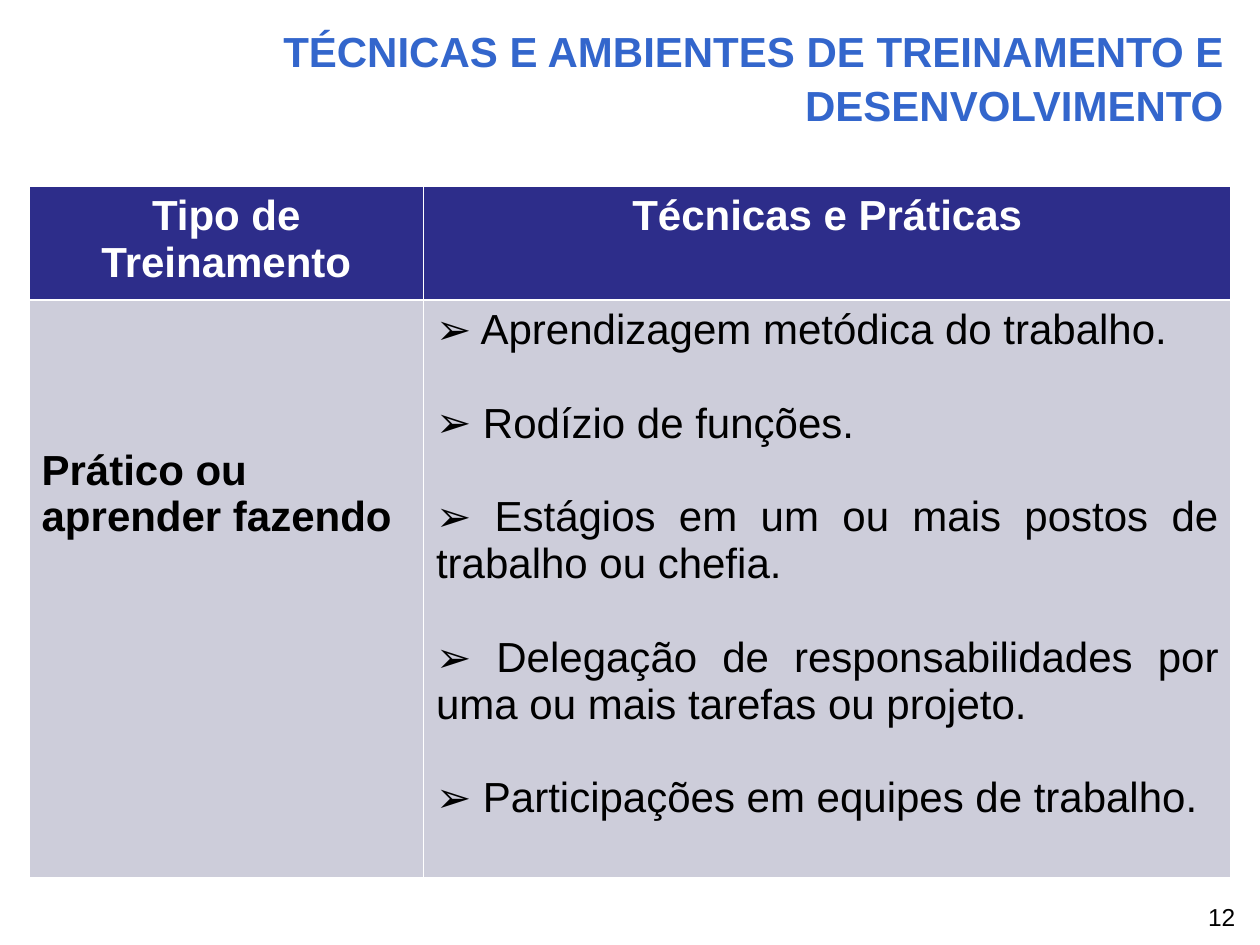
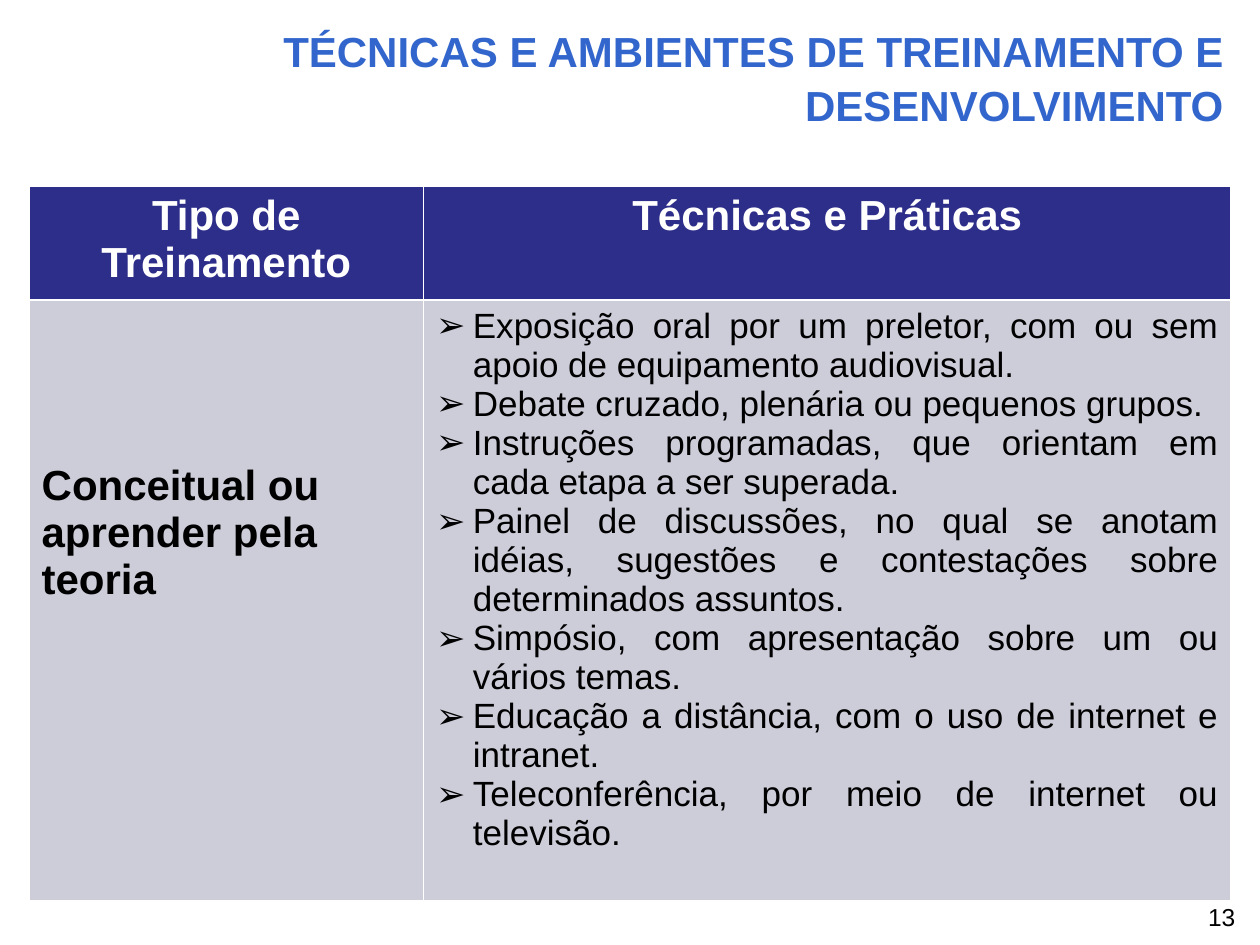
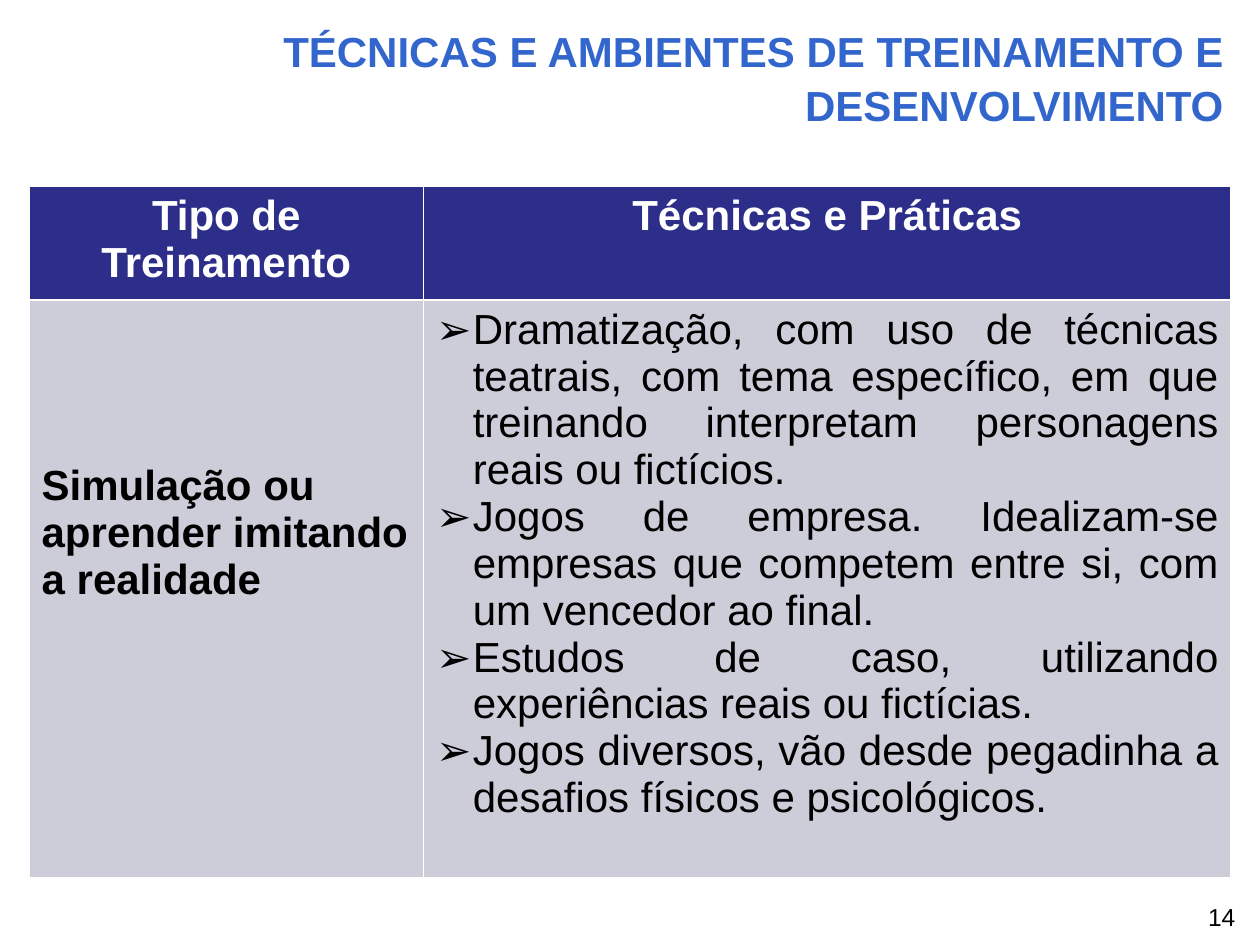
from lxml import etree
from pptx import Presentation
from pptx.dml.color import RGBColor
from pptx.enum.text import MSO_ANCHOR, MSO_AUTO_SIZE, PP_ALIGN
from pptx.oxml.ns import qn
from pptx.util import Pt

LEFT, CENTER, RIGHT, JUSTIFY = PP_ALIGN.LEFT, PP_ALIGN.CENTER, PP_ALIGN.RIGHT, PP_ALIGN.JUSTIFY
MIDDLE = MSO_ANCHOR.MIDDLE
NO_AUTOFIT = MSO_AUTO_SIZE.NONE

TITLE_BLUE = RGBColor(0x33, 0x66, 0xCC)
HEADER_BLUE = RGBColor(0x2D, 0x2D, 0x8A)
BODY_GRAY = RGBColor(0xCD, 0xCD, 0xDA)
WHITE = RGBColor(0xFF, 0xFF, 0xFF)
BLACK = RGBColor(0, 0, 0)
FONT = "Arial"
BULLET = "➢"

TITLE = "TÉCNICAS E AMBIENTES DE TREINAMENTO E\vDESENVOLVIMENTO"
HEADERS = ["Tipo de Treinamento", "Técnicas e Práticas"]
FIRST_NUMBER = 12
TRAININGS = [
    {
        "type": ["Prático ou aprender fazendo"],
        "type_top": 84, "size": 24, "indent": 0, "gap": 26.8,
        "techniques": [
            " Aprendizagem metódica do trabalho.",
            " Rodízio de funções.",
            " Estágios em um ou mais postos de trabalho ou chefia.",
            " Delegação de responsabilidades por uma ou mais tarefas ou projeto.",
            " Participações em equipes de trabalho.",
        ],
    },
    {
        "type": ["Conceitual ou aprender pela teoria"],
        "type_top": 93, "size": 20, "indent": 21, "gap": 0,
        "techniques": [
            "Exposição oral por um preletor, com ou sem apoio de equipamento audiovisual.",
            "Debate cruzado, plenária ou pequenos grupos.",
            "Instruções programadas, que orientam em cada etapa a ser superada.",
            "Painel de discussões, no qual se anotam idéias, sugestões e contestações "
            "sobre determinados assuntos.",
            "Simpósio, com apresentação sobre um ou vários temas.",
            "Educação a distância, com o uso de internet e intranet.",
            "Teleconferência, por meio de internet ou televisão.",
        ],
    },
    {
        "type": ["Simulação ou", "aprender imitando a realidade"],
        "type_top": 93, "size": 24, "indent": 21, "gap": 0,
        "techniques": [
            "Dramatização, com uso de técnicas teatrais, com tema específico, em que "
            "treinando interpretam personagens reais ou fictícios.",
            "Jogos de empresa. Idealizam-se empresas que competem entre si, com um "
            "vencedor ao final.",
            "Estudos de caso, utilizando experiências reais ou fictícias.",
            "Jogos diversos, vão desde pegadinha a desafios físicos e psicológicos.",
        ],
    },
]

TITLE_BOX = (139, 9.4, 567.4, 68.4)
NUMBER_BOX = (683.3, 511.9, 45.4, 24.5)
TABLE_LEFT, TABLE_TOP = 16.6, 106.6
COLUMN_WIDTHS = (225.4, 461.5)
ROW_HEIGHTS = (60.8, 330.4)


def points(values):
    return [Pt(value) for value in values]


def format_paragraph(paragraph, size, color, bold=False, align=LEFT):
    paragraph.alignment = align
    font = paragraph.font
    font.name, font.size, font.bold = FONT, Pt(size), bold
    font.color.rgb = color


def write_lines(text_frame, lines, size, color, bold=False, align=LEFT):
    text_frame.text = "\n".join(lines)
    for paragraph in text_frame.paragraphs:
        format_paragraph(paragraph, size, color, bold, align)


def add_bullet(paragraph, indent):
    properties = paragraph._p.get_or_add_pPr()
    properties.set("marL", str(Pt(indent)))
    properties.set("indent", str(-Pt(indent)))
    etree.SubElement(properties, qn("a:buFont")).set("typeface", FONT)
    etree.SubElement(properties, qn("a:buChar")).set("char", BULLET)


def add_title(slide):
    title = slide.shapes.title
    title.left, title.top, title.width, title.height = points(TITLE_BOX)
    text_frame = title.text_frame
    text_frame.auto_size = NO_AUTOFIT
    text_frame.vertical_anchor = MIDDLE
    write_lines(text_frame, [TITLE], 24, TITLE_BLUE, True, RIGHT)
    text_frame.paragraphs[0].line_spacing = 1.07


def add_number(slide, number):
    text_frame = slide.shapes.add_textbox(*points(NUMBER_BOX)).text_frame
    text_frame.word_wrap = True
    write_lines(text_frame, [str(number)], 14, BLACK)


def fill_cell(cell, color):
    cell.fill.solid()
    cell.fill.fore_color.rgb = color


def add_training_table(slide, training):
    frame = (TABLE_LEFT, TABLE_TOP, sum(COLUMN_WIDTHS), sum(ROW_HEIGHTS))
    table = slide.shapes.add_table(2, 2, *points(frame)).table
    for column, width in zip(table.columns, COLUMN_WIDTHS):
        column.width = Pt(width)
    for row, height in zip(table.rows, ROW_HEIGHTS):
        row.height = Pt(height)

    for index, header in enumerate(HEADERS):
        cell = table.cell(0, index)
        fill_cell(cell, HEADER_BLUE)
        write_lines(cell.text_frame, [header], 24, WHITE, True, CENTER)

    type_cell, technique_cell = table.cell(1, 0), table.cell(1, 1)
    fill_cell(type_cell, BODY_GRAY)
    type_cell.margin_top = Pt(training["type_top"])
    write_lines(type_cell.text_frame, training["type"], 24, BLACK, True)

    fill_cell(technique_cell, BODY_GRAY)
    text_frame = technique_cell.text_frame
    text_frame.text = "\n".join(training["techniques"])
    for index, paragraph in enumerate(text_frame.paragraphs):
        add_bullet(paragraph, training["indent"])
        format_paragraph(paragraph, training["size"], BLACK, align=JUSTIFY)
        if index:
            paragraph.space_before = Pt(training["gap"])


def main():
    presentation = Presentation()
    presentation.slide_width, presentation.slide_height = Pt(720), Pt(540)
    title_only = presentation.slide_layouts[5]
    for number, training in enumerate(TRAININGS, FIRST_NUMBER):
        slide = presentation.slides.add_slide(title_only)
        add_number(slide, number)
        add_title(slide)
        add_training_table(slide, training)
    presentation.save("out.pptx")


if __name__ == "__main__":
    main()
